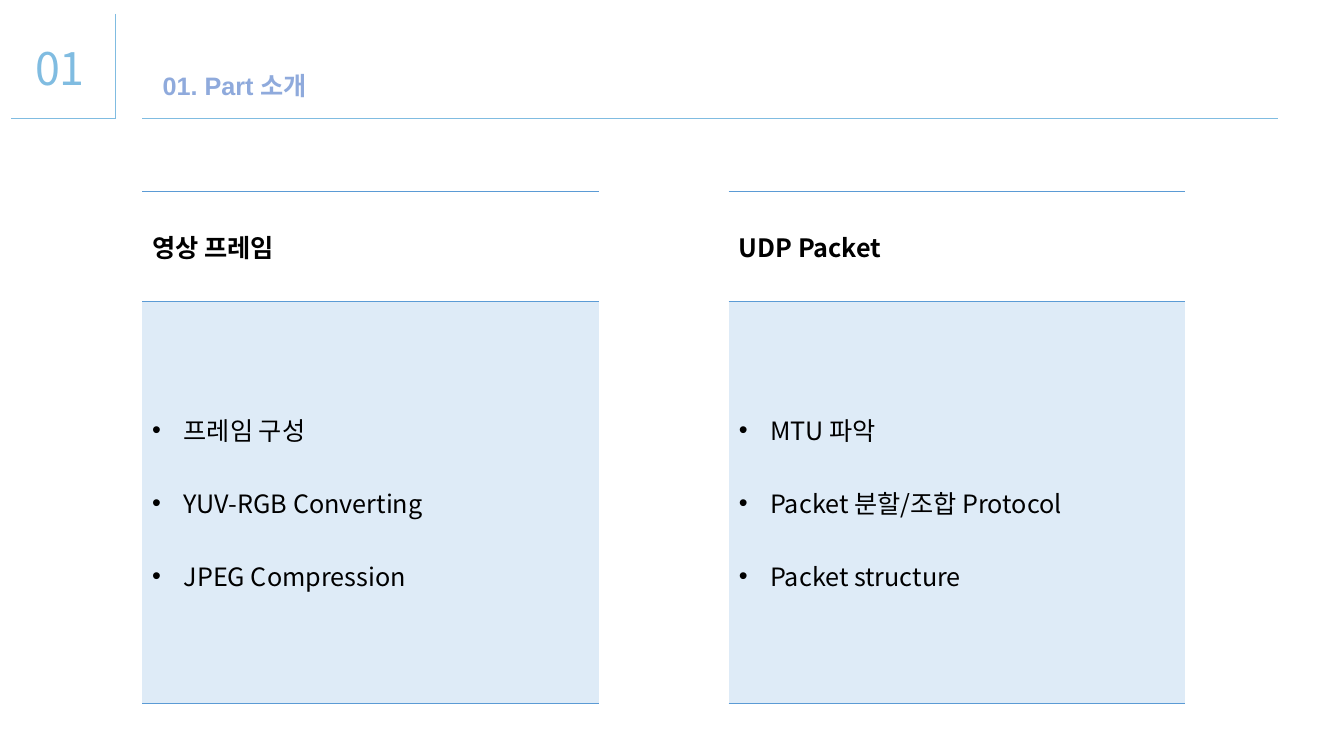
import pptx
import pptx.dml.color
import pptx.enum.shapes
import pptx.enum.text
import pptx.oxml.ns
import pptx.util
from lxml import etree

Pt = pptx.util.Pt
ALIGN = pptx.enum.text.PP_ALIGN
MIDDLE = pptx.enum.text.MSO_ANCHOR.MIDDLE
SANS = "Noto Sans CJK KR"
SKY, BLUE, PALE = "80BCE1", "5B9BD5", "DEEBF7"
PARTS = [
    ("영상 프레임", ["프레임 구성", "YUV-RGB Converting", "JPEG Compression"]),
    ("UDP Packet", ["MTU 파악", "Packet 분할/조합 Protocol", "Packet structure"]),
]


def color(code):
    """Turn a hex string into a colour."""
    return pptx.dml.color.RGBColor.from_string(code)


def node(base, tag, **attrs):
    """Append a drawing element to base."""
    return etree.SubElement(base, pptx.oxml.ns.qn("a:" + tag), attrs)


def write(para, text, size=18, font=SANS, tint="000000", bold=False,
          align=ALIGN.LEFT, lines=None, before=0):
    """Put formatted text into a paragraph."""
    para.alignment = align
    para.space_before = Pt(before)
    if lines:
        para.line_spacing = lines
    run = para.add_run()
    run.text = text
    run.font.size, run.font.name, run.font.bold = Pt(size), font, bold
    run.font.color.rgb = color(tint)
    node(run.font._element, "ea", typeface=font)


def indent(para, left, first=0):
    """Set the left margin and first-line indent."""
    props = para._p.get_or_add_pPr()
    props.set("marL", str(int(Pt(left))))
    props.set("indent", str(int(Pt(first))))
    return props


def place(shape, left, top, width, height, wrap):
    """Position a text shape and centre its text vertically."""
    shape.left, shape.top = Pt(left), Pt(top)
    shape.width, shape.height = Pt(width), Pt(height)
    frame = shape.text_frame
    frame.word_wrap = wrap
    frame.auto_size = pptx.enum.text.MSO_AUTO_SIZE.NONE
    frame.vertical_anchor = MIDDLE
    return frame.paragraphs[0]


def rule(slide, x1, y1, x2, y2):
    """Draw a thin straight line."""
    kind = pptx.enum.shapes.MSO_CONNECTOR.STRAIGHT
    line = slide.shapes.add_connector(kind, Pt(x1), Pt(y1), Pt(x2), Pt(y2))
    line.line.color.rgb = color(SKY)
    line.line.width = Pt(0.5)
    node(line._element.spPr, "effectLst")


def border(cell):
    """Rule a cell above and below, with open sides."""
    props = cell._tc.get_or_add_tcPr()
    for side in ("lnL", "lnR"):
        node(node(props, side, w="0"), "noFill")
    for side in ("lnT", "lnB"):
        edge = node(props, side, w=str(int(Pt(1))))
        node(node(edge, "solidFill"), "srgbClr", val=BLUE)


def panel(slide, left, head, items):
    """Add a table with a heading above a bullet list."""
    heights = (78.5, 287.3)
    frame = slide.shapes.add_table(2, 1, Pt(left), Pt(136.8),
                                   Pt(326.2), Pt(sum(heights)))
    table = frame.table
    table.first_row = table.horz_banding = False
    for row, height in zip(table.rows, heights):
        row.height = Pt(height)
    top, body = table.cell(0, 0), table.cell(1, 0)
    for cell in (top, body):
        cell.vertical_anchor = MIDDLE
        border(cell)
    top.fill.background()
    body.fill.solid()
    body.fill.fore_color.rgb = color(PALE)
    write(top.text_frame.paragraphs[0], head, bold=True)
    for i, item in enumerate(items):
        text = body.text_frame
        para = text.add_paragraph() if i else text.paragraphs[0]
        write(para, item, before=26 if i else 0)
        props = indent(para, 22.5, -22.5)
        node(props, "buFont", typeface="Arial")
        node(props, "buChar", char="•")


def main():
    """Build and save the slide."""
    deck = pptx.Presentation()
    deck.slide_width, deck.slide_height = Pt(960), Pt(540)
    slide = deck.slides.add_slide(deck.slide_layouts[5])

    rule(slide, 8, 84.5, 82.8, 84.5)
    rule(slide, 82.4, 10, 82.4, 84.8)
    rule(slide, 101.5, 84.5, 913, 84.5)

    box = slide.shapes.add_textbox(0, 0, 0, 0)
    para = place(box, 18, 10, 50.4, 57.6, False)
    write(para, "01", size=32, tint=SKY, lines=1.5)

    para = place(slide.shapes.title, 87.1, 37.4, 154, 36, True)
    write(para, "01. Part 소개", font="Arial", tint="8FAADC", bold=True,
          align=ALIGN.CENTER, lines=1.5)
    indent(para, 7.2)

    for i, (head, items) in enumerate(PARTS):
        panel(slide, 101.5 + i * 419, head, items)

    deck.save("out.pptx")


main()
